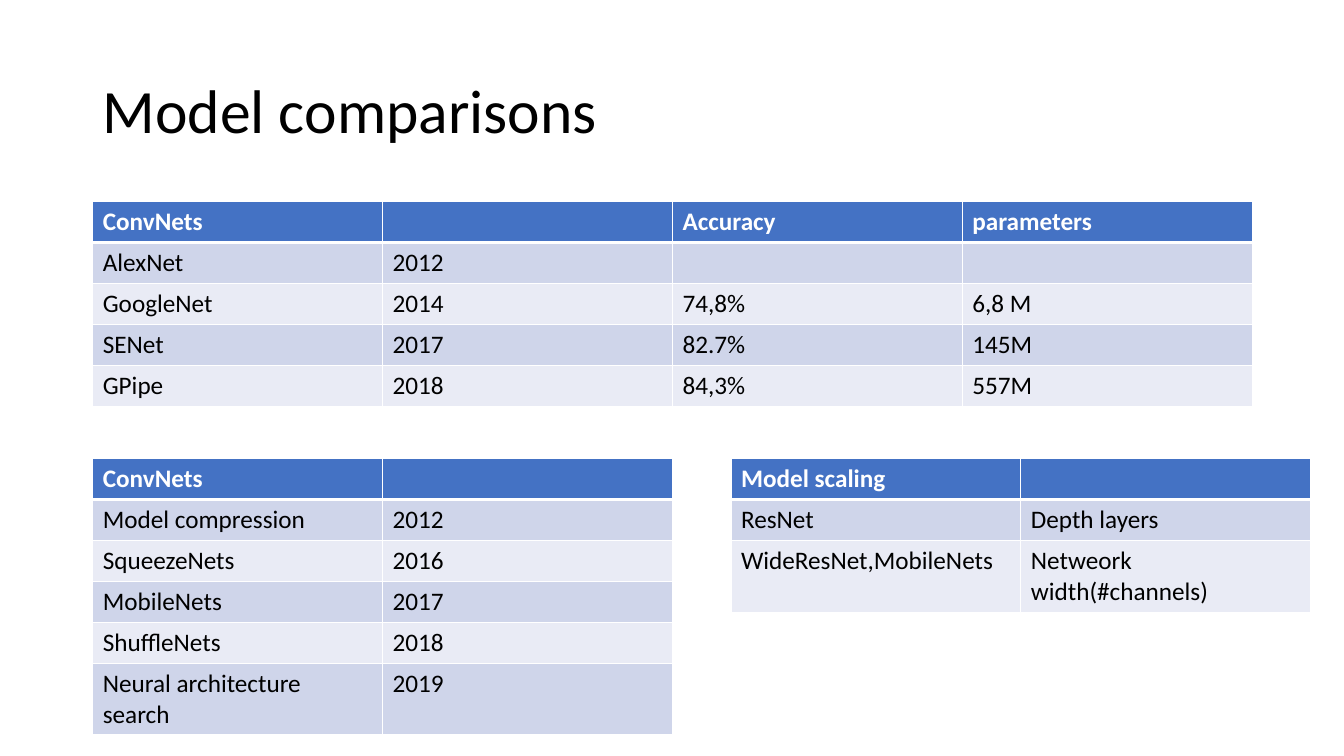
"""Build the model comparisons slide: a title and three banded tables."""
from lxml.etree import SubElement
from pptx import Presentation
from pptx.dml.color import RGBColor
from pptx.enum.text import MSO_ANCHOR, PP_ALIGN
from pptx.oxml.ns import qn
from pptx.util import Inches, Pt

TITLE = "Model comparisons"
CONVNETS = [
    ("ConvNets", "", "Accuracy", "parameters"),
    ("AlexNet", "2012", "", ""),
    ("GoogleNet", "2014", "74,8%", "6,8 M"),
    ("SENet", "2017", "82.7%", "145M"),
    ("GPipe", "2018", "84,3%", "557M"),
]
COMPRESSION = [
    ("ConvNets", ""),
    ("Model compression", "2012"),
    ("SqueezeNets", "2016"),
    ("MobileNets", "2017"),
    ("ShuffleNets", "2018"),
    ("Neural architecture search", "2019"),
]
SCALING = [
    ("Model scaling", ""),
    ("ResNet", "Depth layers"),
    ("WideResNet,MobileNets", "Netweork width(#channels)"),
]
COLORS = {
    "header": "4472C4", "odd": "CFD5EA", "even": "E9EBF5",
    "light": "FFFFFF", "dark": "000000",
}
FONT = "Calibri"
WIDTH, HEIGHT = 13.33, 7.5
LEFT, CONTENT = 0.92, 11.5
COLUMN = CONTENT / 4
ROW = 2.03 / 5
UPPER, LOWER, RIGHT = 2, 4.55, 7.25


def write(frame, text, size=18, color="dark", bold=False, spacing=None):
    """Put one formatted paragraph into a text frame."""
    paragraph = frame.paragraphs[0]
    paragraph.text = text
    paragraph.alignment = PP_ALIGN.LEFT
    paragraph.line_spacing = spacing
    paragraph.font.name = FONT
    paragraph.font.size = Pt(size)
    paragraph.font.bold = bold
    paragraph.font.color.rgb = RGBColor.from_string(COLORS[color])


def add_borders(cell, top, bottom):
    """Draw the four white cell borders."""
    properties = cell._tc.get_or_add_tcPr()
    for side, points in (("L", 1), ("R", 1), ("T", top), ("B", bottom)):
        border = SubElement(properties, qn(f"a:ln{side}"), w=str(Pt(points)))
        fill = SubElement(border, qn("a:solidFill"))
        SubElement(fill, qn("a:srgbClr"), val=COLORS["light"])


def add_grid(slide, entries, left, top):
    """Add a table with a blue header and banded rows."""
    columns, rows = len(entries[0]), len(entries)
    table = slide.shapes.add_table(
        rows, columns, Inches(left), Inches(top),
        Inches(columns * COLUMN), Inches(rows * ROW),
    ).table
    for column in table.columns:
        column.width = Inches(COLUMN)
    for index, entry in enumerate(entries):
        table.rows[index].height = Inches(ROW)
        header = index == 0
        band = "header" if header else "odd" if index % 2 else "even"
        for position, text in enumerate(entry):
            cell = table.cell(index, position)
            add_borders(cell, 3 if index == 1 else 1, 3 if header else 1)
            cell.fill.solid()
            cell.fill.fore_color.rgb = RGBColor.from_string(COLORS[band])
            write(cell.text_frame, text, bold=header,
                  color="light" if header else "dark")


def main():
    """Create and save the slide."""
    deck = Presentation()
    deck.slide_width, deck.slide_height = Inches(WIDTH), Inches(HEIGHT)
    slide = deck.slides.add_slide(deck.slide_layouts[5])
    title = slide.shapes.title
    title.left, title.top = Inches(LEFT), Inches(0.4)
    title.width, title.height = Inches(CONTENT), Inches(1.45)
    title.text_frame.vertical_anchor = MSO_ANCHOR.MIDDLE
    write(title.text_frame, TITLE, size=44, spacing=0.9)
    add_grid(slide, CONVNETS, LEFT, UPPER)
    add_grid(slide, COMPRESSION, LEFT, LOWER)
    add_grid(slide, SCALING, RIGHT, LOWER)
    deck.save("out.pptx")


if __name__ == "__main__":
    main()
